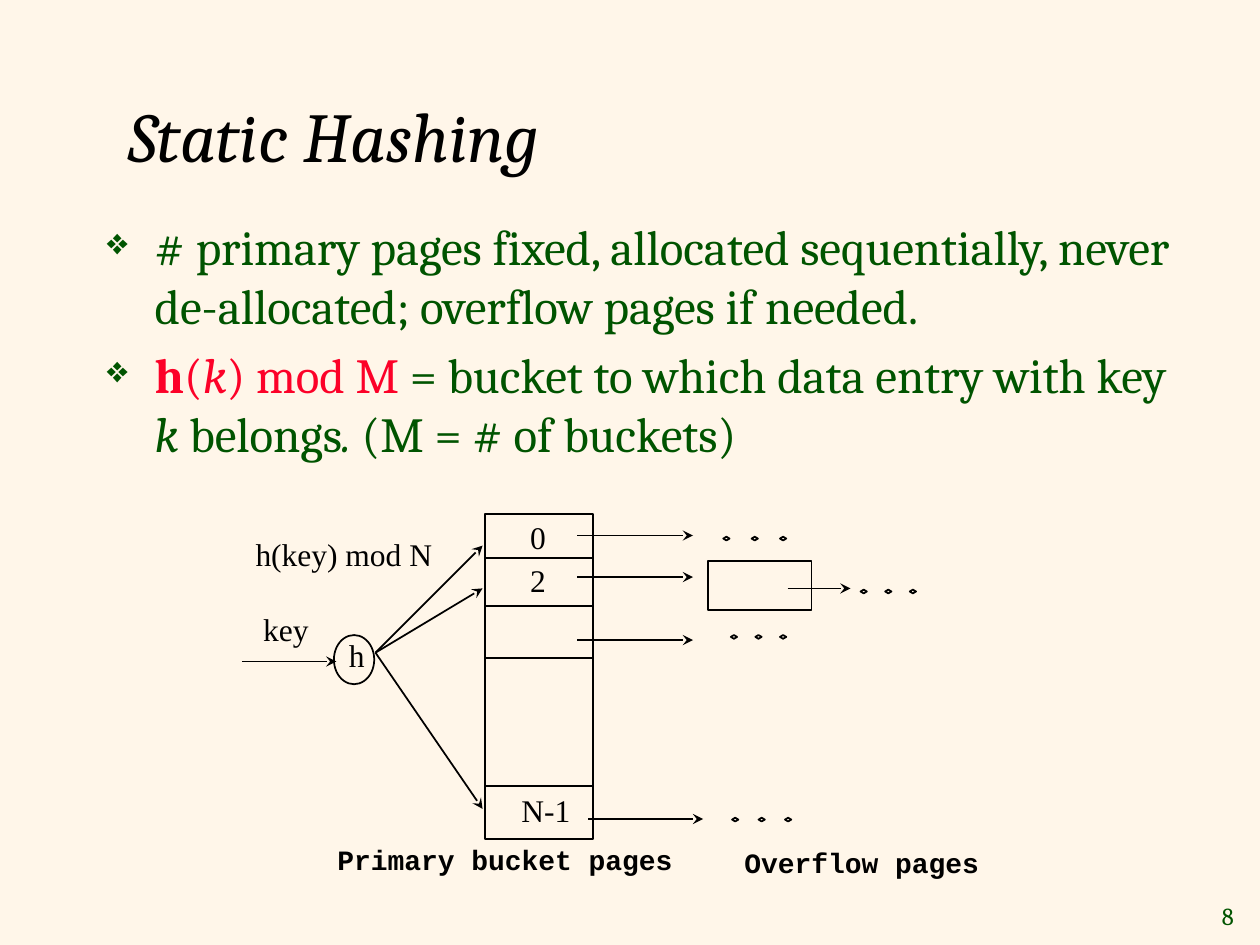
from lxml import etree
from pptx import Presentation
from pptx import util as u
from pptx.dml.color import RGBColor
from pptx.enum import shapes, text
from pptx.oxml.ns import qn

THEME = {
    "background": "FFF6E9", "ink": "000000", "green": "005400", "red": "FC0128",
    "line": 1,
    "title": {"name": "Cambria", "size": 40, "italic": True, "color": "ink"},
    "body": {"name": "Cambria", "size": 28, "color": "green"},
    "number": {"name": "Cambria", "size": 14, "color": "green"},
    "label": {"name": "Times New Roman", "size": 18, "color": "ink"},
    "caption": {"name": "Courier New", "size": 16, "bold": True, "color": "ink"},
}

TITLE = "Static Hashing"
RED, ITALIC = {"color": "red"}, {"italic": True}
BULLETS = [
    [("# primary pages fixed, allocated sequentially, never de-allocated; "
      "overflow pages if needed.", {})],
    [("h", {"bold": True, **RED}), ("(", RED), ("k", {**ITALIC, **RED}), (") mod M ", RED),
     ("= bucket to which data entry with key", {}), (" k ", ITALIC), ("belongs", {}),
     (". ", ITALIC), ("(M = # of buckets)", {})],
]
# text, style, (left, top, width, height)
LABELS = [
    ("h(key) mod N", "label", (1.93, 4.2, 1.6, 0.4)),
    ("key", "label", (1.99, 4.79, 0.56, 0.4)),
    ("h", "label", (2.67, 5, 0.32, 0.4)),
    ("0", "label", (4.11, 4.06, 0.32, 0.4)),
    ("2", "label", (4.11, 4.4, 0.32, 0.4)),
    ("N-1", "label", (4.04, 6.23, 0.59, 0.4)),
    ("Primary bucket pages", "caption", (2.58, 6.64, 2.86, 0.36)),
    ("Overflow pages", "caption", (5.81, 6.66, 2.06, 0.36)),
]

BUCKETS = (3.85, 4.08, 0.86, 2.58)
OVERFLOW_PAGE = (5.62, 4.45, 0.82, 0.39)
HASH_NODE = (2.65, 5.04, 0.32, 0.39)
BUCKET_DIVIDERS = [4.43, 4.81, 5.22, 6.24]
HASH_EXIT = (2.98, 5.18)
HASH_TARGETS = [(3.83, 4.33), (3.83, 4.67), (3.83, 6.42)]
# left, y, length
FLAT_ARROWS = [(1.92, 5.25, 0.75), (4.58, 4.25, 0.92), (4.58, 4.58, 0.92),
               (4.58, 5.08, 0.92), (4.67, 6.5, 0.91), (6.25, 4.67, 0.5)]
# left, top, step between dots
ELLIPSES = [(5.74, 4.26, 0.225), (6.83, 4.68, 0.195), (5.8, 5.04, 0.195), (5.81, 6.49, 0.21)]
DOT = (0.05, 0.03)


def color(name):
    return RGBColor.from_string(THEME[name])


def add_run(paragraph, content, style):
    run = paragraph.add_run()
    run.text = content
    values = {**style, "size": u.Pt(style["size"])}
    run.font.color.rgb = color(values.pop("color"))
    for name, value in values.items():
        setattr(run.font, name, value)


def add_frame(slide, box, **settings):
    frame = slide.shapes.add_textbox(*map(u.Inches, box)).text_frame
    for name, value in settings.items():
        setattr(frame, name, value)
    return frame


def add_label(slide, content, style, box, align=text.PP_ALIGN.LEFT, **settings):
    frame = add_frame(slide, box, **{"word_wrap": False, **settings})
    frame.paragraphs[0].alignment = align
    add_run(frame.paragraphs[0], content, THEME[style])


def add_bullet_format(paragraph):
    properties = paragraph._p.get_or_add_pPr()
    properties.set("marL", str(u.Inches(0.38)))
    properties.set("indent", str(-u.Inches(0.38)))
    bullet_color = etree.SubElement(properties, qn("a:buClr"))
    etree.SubElement(bullet_color, qn("a:srgbClr"), val=THEME["green"])
    etree.SubElement(properties, qn("a:buSzPct"), val="75000")
    etree.SubElement(properties, qn("a:buChar"), char="❖")


def add_body(slide):
    frame = add_frame(slide, (0.75, 1.67, 8.83, 5.25), word_wrap=True)
    for index, runs in enumerate(BULLETS):
        paragraph = frame.add_paragraph() if index else frame.paragraphs[0]
        paragraph.space_before = u.Pt(6)
        add_bullet_format(paragraph)
        for content, changes in runs:
            add_run(paragraph, content, {**THEME["body"], **changes})


def add_outline(slide, kind, box):
    shape = slide.shapes.add_shape(kind, *map(u.Inches, box))
    shape.shadow.inherit = False
    shape.fill.background()
    shape.line.color.rgb = color("ink")
    shape.line.width = u.Pt(THEME["line"])


def add_line(slide, start, end, arrow=False):
    connector = slide.shapes.add_connector(
        shapes.MSO_CONNECTOR.STRAIGHT, *map(u.Inches, (*start, *end)))
    connector.line.color.rgb = color("ink")
    connector.line.width = u.Pt(THEME["line"])
    if arrow:
        etree.SubElement(connector.line._get_or_add_ln(), qn("a:tailEnd"), type="stealth")
    etree.SubElement(connector._element.spPr, qn("a:effectLst"))


def add_diagram(slide):
    kinds = shapes.MSO_SHAPE
    for kind, box in ((kinds.RECTANGLE, OVERFLOW_PAGE), (kinds.OVAL, HASH_NODE),
                      (kinds.RECTANGLE, BUCKETS)):
        add_outline(slide, kind, box)
    for left, top, step in ELLIPSES:
        for index in range(3):
            add_outline(slide, kinds.DIAMOND, (left + index * step, top, *DOT))
    for label in LABELS:
        add_label(slide, *label)
    for target in HASH_TARGETS:
        add_line(slide, HASH_EXIT, target, arrow=True)
    for left, y, length in FLAT_ARROWS:
        add_line(slide, (left, y), (left + length, y), arrow=True)
    left, _, width, _ = BUCKETS
    for y in BUCKET_DIVIDERS:
        add_line(slide, (left, y), (left + width, y))


def main():
    presentation = Presentation()
    presentation.slide_width, presentation.slide_height = u.Inches(10), u.Inches(7.5)
    slide = presentation.slides.add_slide(presentation.slide_layouts[6])
    slide.background.fill.solid()
    slide.background.fill.fore_color.rgb = color("background")
    middle = text.MSO_ANCHOR.MIDDLE
    add_label(slide, "8", "number", (9.45, 7.1, 0.44, 0.33),
              text.PP_ALIGN.RIGHT, vertical_anchor=middle)
    add_label(slide, TITLE, "title", (0.92, 0.46, 8.5, 1.21),
              word_wrap=True, vertical_anchor=middle)
    add_body(slide)
    add_diagram(slide)
    presentation.save("out.pptx")


if __name__ == "__main__":
    main()
